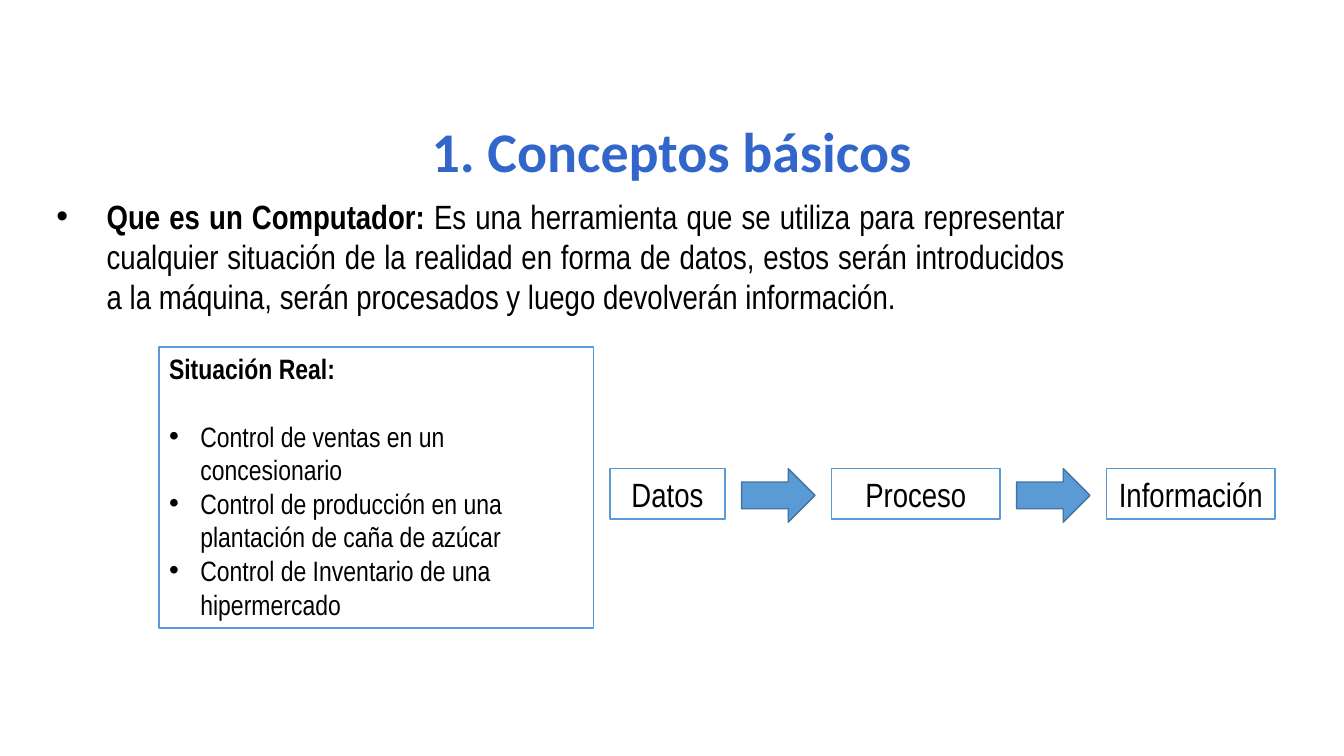
from pptx import Presentation
from pptx.dml.color import RGBColor
from pptx.enum import shapes, text
from pptx.oxml import ns, xmlchemy
from pptx.util import Cm, Pt

COLORS = {
    "title": "3366CA",
    "text": "000000",
    "box": "FFFFFF",
    "blue": "5B9BD5",
    "arrow_line": "43739E",
}
BODY_FONT = "Arial Narrow"

DEFINITION = (
    "Es una herramienta que se utiliza para representar cualquier situación "
    "de la realidad en forma de datos, estos serán introducidos a la máquina, "
    "serán procesados y luego devolverán información."
)
SITUATIONS = [
    "Control de ventas en un concesionario",
    "Control de producción en una plantación de caña de azúcar",
    "Control de Inventario de una hipermercado",
]
STAGES = [("Datos", 2.9), ("Proceso", 4.24), ("Información", 4.24)]


def color(name):
    return RGBColor.from_string(COLORS[name])


def add_run(p, content, size, bold=False, font=BODY_FONT, fill="text"):
    r = p.add_run()
    r.text = content
    r.font.name = font
    r.font.size = Pt(size)
    r.font.bold = bold
    r.font.color.rgb = color(fill)


def add_bullet(p, indent):
    pPr = p._p.get_or_add_pPr()
    pPr.set("marL", str(Cm(indent)))
    pPr.set("indent", str(-Cm(indent)))
    font = xmlchemy.OxmlElement("a:buFont")
    font.set("typeface", "Arial")
    bullet = xmlchemy.OxmlElement("a:buChar")
    bullet.set("char", "•")
    pPr.extend([font, bullet])


def add_block(s, kind, left, top, width, height, fill="box", line="blue"):
    sp = s.shapes.add_shape(kind, Cm(left), Cm(top), Cm(width), Cm(height))
    sp.shadow.inherit = False
    sp.fill.solid()
    sp.fill.fore_color.rgb = color(fill)
    sp.line.color.rgb = color(line)
    sp.line.width = Pt(1)
    return sp


def add_title(s):
    sp = s.shapes.title
    sp.left, sp.top, sp.width, sp.height = Cm(6.27), Cm(2.82), Cm(21.31), Cm(1.96)
    tf = sp.text_frame
    tf.vertical_anchor = text.MSO_ANCHOR.TOP
    p = tf.paragraphs[0]
    p.alignment = text.PP_ALIGN.CENTER
    add_run(p, "1. Conceptos básicos", 40, True, "Calibri", "title")


def add_definition(s):
    sp = s.shapes.add_textbox(Cm(1.17), Cm(4.8), Cm(25.91), Cm(3.33))
    tf = sp.text_frame
    tf.word_wrap = True
    p = tf.paragraphs[0]
    p.alignment = text.PP_ALIGN.JUSTIFY
    add_bullet(p, 1.27)
    add_run(p, "Que es un Computador: ", 24, True)
    add_run(p, DEFINITION, 24)


def add_situations(s):
    sp = add_block(s, shapes.MSO_SHAPE.RECTANGLE, 4.01, 8.74, 10.95, 7.09)
    tf = sp.text_frame
    tf.word_wrap = True
    tf.vertical_anchor = text.MSO_ANCHOR.TOP
    p = tf.paragraphs[0]
    p.alignment = text.PP_ALIGN.LEFT
    p.space_after = Pt(24)
    add_run(p, "Situación Real:", 20, True)
    for situation in SITUATIONS:
        p = tf.add_paragraph()
        p.alignment = text.PP_ALIGN.LEFT
        add_bullet(p, 0.79)
        add_run(p, situation, 20)


def add_flow(s, left=15.37, top=11.81, gap=0.42, arrow_width=1.85):
    for i, (label, width) in enumerate(STAGES):
        # Arrow from the previous stage
        if i:
            add_block(s, shapes.MSO_SHAPE.RIGHT_ARROW, left, top, arrow_width, 1.35,
                      "blue", "arrow_line")
            left += arrow_width + gap
        # Stage box
        sp = add_block(s, shapes.MSO_SHAPE.RECTANGLE, left, top, width, 1.27)
        tf = sp.text_frame
        tf.word_wrap = False
        tf.vertical_anchor = text.MSO_ANCHOR.TOP
        p = tf.paragraphs[0]
        p.alignment = text.PP_ALIGN.CENTER
        add_run(p, label, 24)
        left += width + gap


def main():
    prs = Presentation()
    prs.slide_width, prs.slide_height = Cm(33.87), Cm(19.05)
    s = prs.slides.add_slide(prs.slide_layouts[5])
    add_title(s)
    add_definition(s)
    add_situations(s)
    add_flow(s)
    prs.save("out.pptx")


if __name__ == "__main__":
    main()
